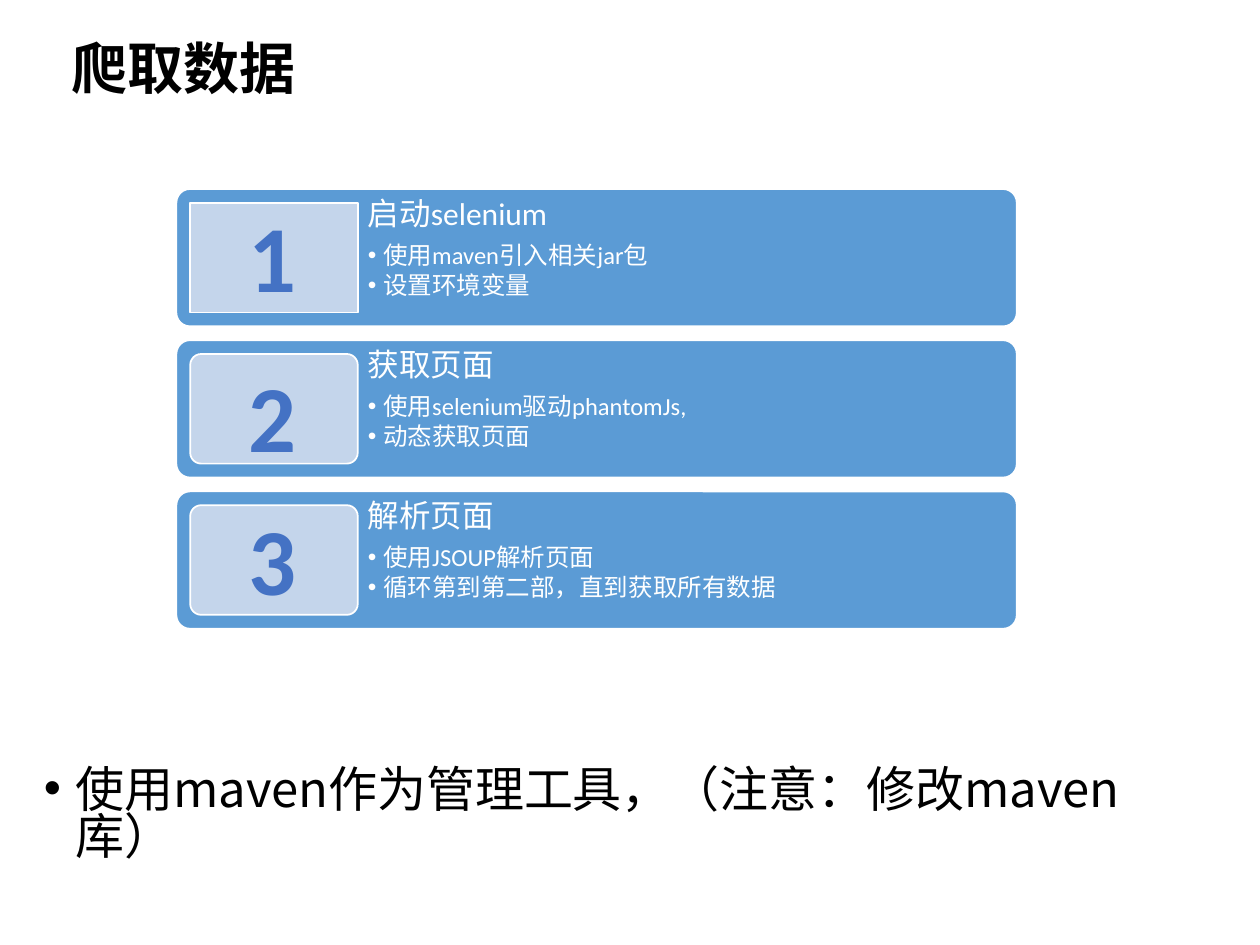
import pptx
import pptx.dml.color
import pptx.enum.shapes
import pptx.enum.text
import pptx.oxml
import pptx.oxml.ns
import pptx.util
from pptx.util import Inches

CJK_FONT = "Noto Sans CJK SC"
LATIN_FONT = "Calibri"
WHITE = "FFFFFF"
BLACK = "000000"
CARD_BLUE = "5B9BD5"
BADGE_BLUE = "C4D5EB"
NUMBER_BLUE = "4472C4"
CARD_TOP = 1.5
CARD_STEP = 1.2

RECTANGLE = pptx.enum.shapes.MSO_SHAPE.RECTANGLE
ROUNDED = pptx.enum.shapes.MSO_SHAPE.ROUNDED_RECTANGLE

STEPS = [
    ("启动selenium", ["使用maven引入相关jar包", "设置环境变量"], RECTANGLE, 1.52),
    ("获取页面", ["使用selenium驱动phantomJs,", "动态获取页面"], ROUNDED, 2.79),
    ("解析页面", ["使用JSOUP解析页面", "循环第到第二部，直到获取所有数据"], ROUNDED, 3.93),
]


def color(value):
    return pptx.dml.color.RGBColor.from_string(value)


def format_paragraph(paragraph, size, font_color, latin=LATIN_FONT, bold=False,
                     line_spacing=0.9, space_after=0):
    paragraph.line_spacing = line_spacing
    paragraph.space_before = pptx.util.Pt(0)
    paragraph.space_after = pptx.util.Pt(space_after)
    for run in paragraph.runs:
        run.font.size = pptx.util.Pt(size)
        run.font.bold = bold
        run.font.color.rgb = color(font_color)
        run.font.name = latin
        east_asian = pptx.oxml.parse_xml(
            f'<a:ea {pptx.oxml.ns.nsdecls("a")} typeface="{CJK_FONT}"/>')
        run.font._element.find(pptx.oxml.ns.qn("a:latin")).addnext(east_asian)


def add_bullet(paragraph, indent):
    properties = paragraph._p.get_or_add_pPr()
    properties.set("marL", str(Inches(indent)))
    properties.set("indent", str(-Inches(indent)))
    for markup in ('<a:buFont {} typeface="Arial"/>', '<a:buChar {} char="•"/>'):
        properties.append(pptx.oxml.parse_xml(markup.format(pptx.oxml.ns.nsdecls("a"))))


def add_outline(run):
    outline = pptx.oxml.parse_xml(
        f'<a:ln {pptx.oxml.ns.nsdecls("a")} w="9525"><a:solidFill>'
        f'<a:srgbClr val="{WHITE}"/></a:solidFill></a:ln>')
    run.font._element.insert(0, outline)


def add_title(slide, text):
    title = slide.shapes.title
    title.left, title.top = Inches(0.47), Inches(0.2)
    title.width, title.height = Inches(9.14), Inches(0.74)
    title.text_frame.text = text
    title.text_frame.vertical_anchor = pptx.enum.text.MSO_ANCHOR.MIDDLE
    paragraph = title.text_frame.paragraphs[0]
    paragraph.alignment = pptx.enum.text.PP_ALIGN.LEFT
    format_paragraph(paragraph, 32, BLACK, CJK_FONT, bold=True)


def add_box(slide, kind, left, top, width, height, fill):
    shape = slide.shapes.add_shape(
        kind, Inches(left), Inches(top), Inches(width), Inches(height))
    shape.shadow.inherit = False
    shape.fill.solid()
    shape.fill.fore_color.rgb = color(fill)
    shape.line.color.rgb = color(WHITE)
    shape.line.width = pptx.util.Pt(1)
    if kind == ROUNDED:
        shape.adjustments[0] = 0.1


def add_text(slide, left, top, width, height, lines, wrap=True):
    box = slide.shapes.add_textbox(
        Inches(left), Inches(top), Inches(width), Inches(height))
    box.text_frame.word_wrap = wrap
    box.text_frame.text = "\n".join(lines)
    return box.text_frame


def add_step_text(slide, top, heading, details):
    text_frame = add_text(slide, 2.85, top, 5.22, 1.09, [heading, *details])
    text_frame.margin_left = text_frame.margin_right = Inches(0.07)
    text_frame.margin_top = text_frame.margin_bottom = Inches(0.07)
    format_paragraph(text_frame.paragraphs[0], 18, WHITE, space_after=6.3)
    for paragraph in text_frame.paragraphs[1:]:
        paragraph.level = 1
        format_paragraph(paragraph, 14, WHITE, space_after=2.1)
        add_bullet(paragraph, 0.12)


def add_number(slide, top, number):
    text_frame = add_text(slide, 1.87, top, 0.59, 1.01, [str(number)], wrap=False)
    paragraph = text_frame.paragraphs[0]
    paragraph.alignment = pptx.enum.text.PP_ALIGN.CENTER
    format_paragraph(paragraph, 54, NUMBER_BLUE, bold=True, line_spacing=1.0)
    add_outline(paragraph.runs[0])


def add_step(slide, index, heading, details, badge_kind, number_top):
    top = CARD_TOP + index * CARD_STEP
    add_box(slide, ROUNDED, 1.4, top, 6.67, 1.09, CARD_BLUE)
    add_step_text(slide, top, heading, details)
    add_box(slide, badge_kind, 1.51, top + 0.11, 1.33, 0.87, BADGE_BLUE)
    add_number(slide, number_top, index + 1)


def add_note(slide, text):
    text_frame = add_text(slide, 0.25, 6.06, 9.36, 0.9, [text])
    paragraph = text_frame.paragraphs[0]
    format_paragraph(paragraph, 28, BLACK, CJK_FONT, line_spacing=0.8)
    add_bullet(paragraph, 0.25)


def main():
    presentation = pptx.Presentation()
    presentation.slide_width = Inches(10)
    presentation.slide_height = Inches(7.5)
    slide = presentation.slides.add_slide(presentation.slide_layouts[5])
    add_title(slide, "爬取数据")
    for index, step in enumerate(STEPS):
        add_step(slide, index, *step)
    add_note(slide, "使用maven作为管理工具，（注意：修改maven库）")
    presentation.save("out.pptx")


if __name__ == "__main__":
    main()
